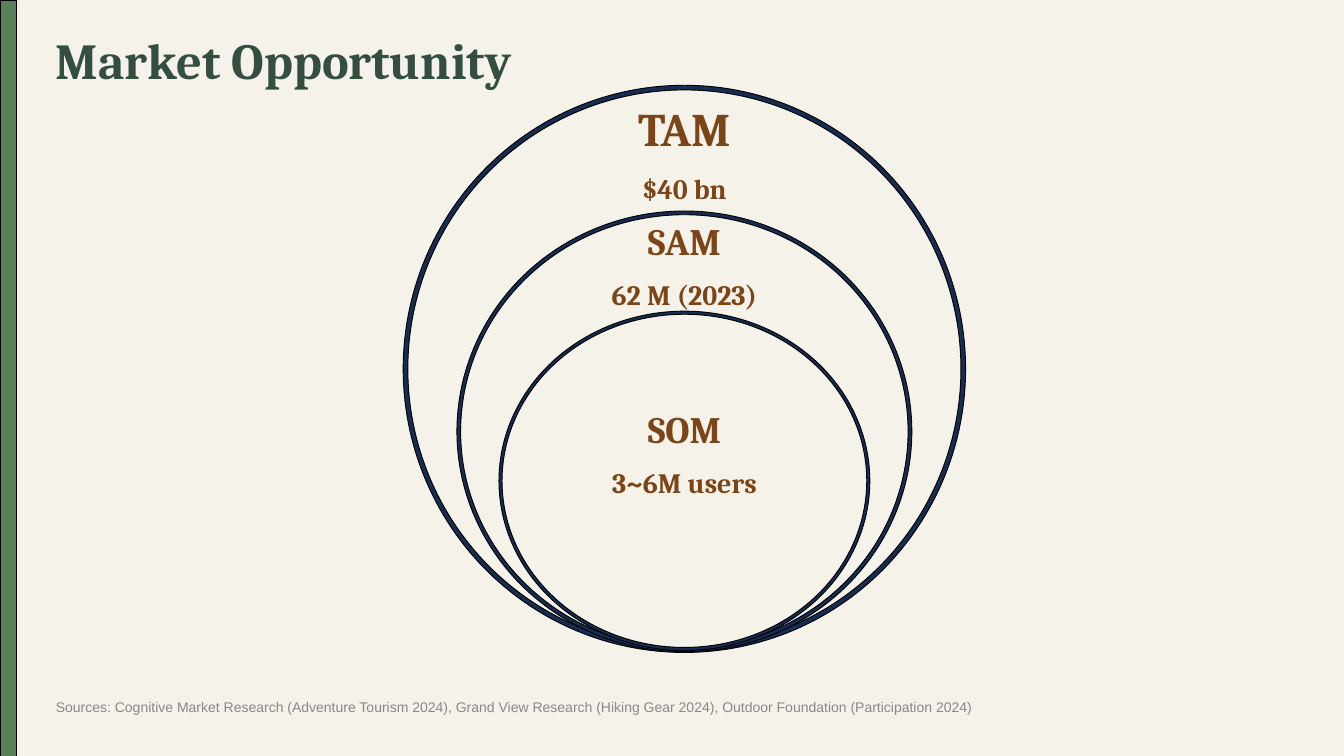
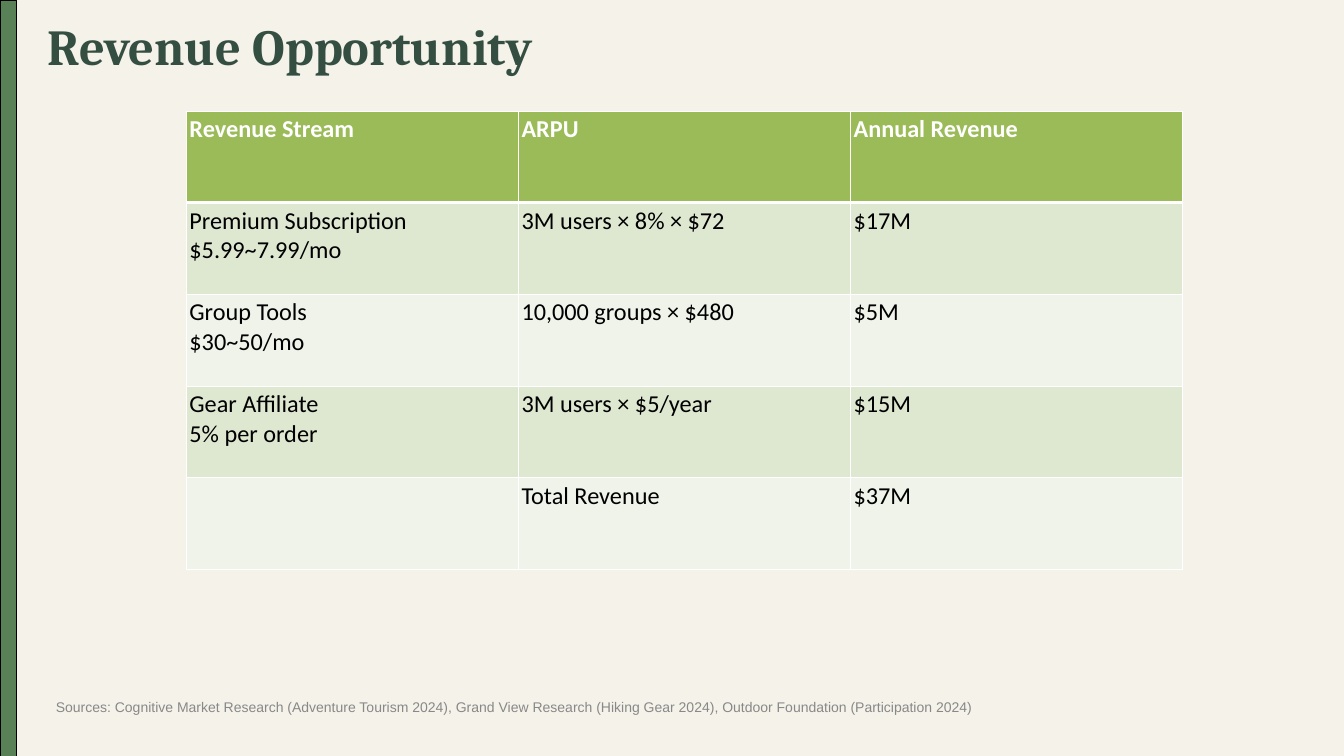
"""Build the market and revenue opportunity slides."""
from dataclasses import dataclass

from lxml import etree
from pptx import Presentation
from pptx.dml.color import RGBColor
from pptx.enum.shapes import MSO_SHAPE
from pptx.enum.text import MSO_ANCHOR, MSO_AUTO_SIZE, PP_ALIGN
from pptx.oxml.ns import qn
from pptx.util import Pt

RECTANGLE, DONUT = MSO_SHAPE.RECTANGLE, MSO_SHAPE.DONUT
MIDDLE, TOP = MSO_ANCHOR.MIDDLE, MSO_ANCHOR.TOP
CENTER, LEFT = PP_ALIGN.CENTER, PP_ALIGN.LEFT
GROW = MSO_AUTO_SIZE.SHAPE_TO_FIT_TEXT

COLORS = {
    "paper": "F5F2EA", "band": "588157", "title": "344E41", "source": "888888",
    "ring": "172C51", "market": "7C4517", "outline": "000000", "cell_text": "000000",
    "header": "9BBB59", "header_text": "FFFFFF", "grid": "FFFFFF",
    "odd_row": "DEE7D0", "even_row": "EFF3E9",
}
SLIDE_WIDTH, SLIDE_HEIGHT = 1440, 810
SOURCES = ("Sources: Cognitive Market Research (Adventure Tourism 2024), "
           "Grand View Research (Hiking Gear 2024), Outdoor Foundation (Participation 2024)")
MARKET_CENTER = 733.3
LABEL_WIDTH, LABEL_HEIGHT = 293.8, 130.3
LABEL_LEADING = 26
TABLE_LEFT, TABLE_TOP = 199.4, 119
COLUMN_WIDTH, ROW_HEIGHT = 355.8, 98.2
CELL_MARGIN = 3.6


@dataclass(frozen=True)
class TextStyle:
    font: str
    size: float
    color: str
    bold: bool = False


@dataclass(frozen=True)
class Market:
    name: str
    value: str
    name_size: float
    label_top: float
    top: float
    width: float
    height: float
    thickness: float


TITLE = TextStyle("Cambria", 54, "title", True)
SOURCE = TextStyle("Arial", 15, "source")
HEADER_CELL = TextStyle("Calibri", 26, "header_text", True)
BODY_CELL = TextStyle("Calibri", 26, "cell_text")

MARKETS = [
    Market("TAM", "$40 bn", 50, 115.2, 91.4, 602.6, 607.7, 5),
    Market("SAM", "62 M (2023)", 40, 229.7, 226.1, 487.4, 472.3, 4),
    Market("SOM", "3~6M users", 40, 430.6, 333.4, 397.4, 363.6, 3.3),
]
REVENUE = [
    ("Revenue Stream", "ARPU", "Annual Revenue"),
    ("Premium Subscription\n$5.99~7.99/mo", "3M users × 8% × $72", "$17M"),
    ("Group Tools\n$30~50/mo", "10,000 groups × $480", "$5M"),
    ("Gear Affiliate\n5% per order", "3M users × $5/year", "$15M"),
    ("", "Total Revenue", "$37M"),
]


def rgb(name: str) -> RGBColor:
    """Return a palette colour."""
    return RGBColor.from_string(COLORS[name])


def write(paragraph, text: str, style: TextStyle, leading=None, align=LEFT) -> None:
    """Put styled text in a paragraph."""
    paragraph.text = text
    paragraph.alignment = align
    if leading:
        paragraph.line_spacing = Pt(leading)
    for run in paragraph.runs:
        run.font.name = style.font
        run.font.size = Pt(style.size)
        run.font.bold = style.bold
        run.font.color.rgb = rgb(style.color)


def add_frame(slide, left: float, top: float, width: float, height: float,
              margin: float = 0, anchor=TOP):
    """Add a wrapping text box and return its text frame."""
    frame = slide.shapes.add_textbox(Pt(left), Pt(top), Pt(width), Pt(height)).text_frame
    frame.word_wrap = True
    frame.vertical_anchor = anchor
    frame.margin_left = frame.margin_right = Pt(margin)
    frame.margin_top = frame.margin_bottom = Pt(margin)
    return frame


def add_outlined(slide, kind, left: float, top: float, width: float, height: float, fill: str):
    """Add a filled shape with a thin dark outline."""
    shape = slide.shapes.add_shape(kind, Pt(left), Pt(top), Pt(width), Pt(height))
    shape.shadow.inherit = False
    shape.fill.solid()
    shape.fill.fore_color.rgb = rgb(fill)
    shape.line.color.rgb = rgb("outline")
    shape.line.width = Pt(1)
    return shape


def add_line(slide, text: str, style: TextStyle, left: float, top: float,
             width: float, height: float, leading: float) -> None:
    """Add a one-line text box that grows with its text."""
    frame = add_frame(slide, left, top, width, height)
    frame.auto_size = GROW
    write(frame.paragraphs[0], text, style, leading)


def add_base_slide(deck, title: str, left: float, top: float):
    """Add a slide with its background, side band, title and sources."""
    slide = deck.slides.add_slide(deck.slide_layouts[6])
    slide.background.fill.solid()
    slide.background.fill.fore_color.rgb = rgb("paper")
    add_outlined(slide, RECTANGLE, 0, 0, 18, SLIDE_HEIGHT, "band")
    add_line(slide, title, TITLE, left, top, 690, 54.7, 54)
    add_line(slide, SOURCES, SOURCE, 59.8, 745.9, 1346.4, 20.2, 21)
    return slide


def add_market(slide, market: Market) -> None:
    """Draw one market ring with its name and value."""
    ring = add_outlined(slide, DONUT, MARKET_CENTER - market.width / 2, market.top,
                        market.width, market.height, "ring")
    ring.adjustments[0] = market.thickness / min(market.width, market.height)
    label = add_frame(slide, MARKET_CENTER - LABEL_WIDTH / 2, market.label_top,
                      LABEL_WIDTH, LABEL_HEIGHT, 4, MIDDLE)
    name_style = TextStyle("Cambria", market.name_size, "market", True)
    value_style = TextStyle("Cambria", 30, "market", True)
    write(label.paragraphs[0], market.name, name_style, LABEL_LEADING, CENTER)
    value = label.add_paragraph()
    write(value, market.value, value_style, LABEL_LEADING, CENTER)
    value.space_before = Pt(LABEL_LEADING)


def add_borders(cell, top: float, bottom: float) -> None:
    """Give a cell its grid lines."""
    properties = cell._tc.get_or_add_tcPr()
    for side, width in (("L", 1), ("R", 1), ("T", top), ("B", bottom)):
        line = etree.SubElement(properties, qn(f"a:ln{side}"), w=str(Pt(width)))
        fill = etree.SubElement(line, qn("a:solidFill"))
        etree.SubElement(fill, qn("a:srgbClr"), val=COLORS["grid"])


def add_revenue_table(slide) -> None:
    """Add the table of revenue streams."""
    row_count, column_count = len(REVENUE), len(REVENUE[0])
    table = slide.shapes.add_table(
        row_count, column_count, Pt(TABLE_LEFT), Pt(TABLE_TOP),
        Pt(COLUMN_WIDTH * column_count), Pt(ROW_HEIGHT * row_count)).table
    for column in table.columns:
        column.width = Pt(COLUMN_WIDTH)
    for row_index, values in enumerate(REVENUE):
        table.rows[row_index].height = Pt(ROW_HEIGHT)
        is_header = row_index == 0
        row_fill = "header" if is_header else "odd_row" if row_index % 2 else "even_row"
        for column_index, value in enumerate(values):
            cell = table.cell(row_index, column_index)
            cell.margin_left = cell.margin_right = Pt(CELL_MARGIN)
            cell.margin_top = cell.margin_bottom = Pt(CELL_MARGIN)
            add_borders(cell, 3 if row_index == 1 else 1, 3 if is_header else 1)
            cell.fill.solid()
            cell.fill.fore_color.rgb = rgb(row_fill)
            write(cell.text_frame.paragraphs[0], value, HEADER_CELL if is_header else BODY_CELL)


def main() -> None:
    """Build and save the deck."""
    deck = Presentation()
    deck.slide_width, deck.slide_height = Pt(SLIDE_WIDTH), Pt(SLIDE_HEIGHT)
    market_slide = add_base_slide(deck, "Market Opportunity", 59.8, 42.5)
    for market in MARKETS:
        add_market(market_slide, market)
    add_revenue_table(add_base_slide(deck, "Revenue Opportunity", 51.1, 27.4))
    deck.save("out.pptx")


if __name__ == "__main__":
    main()
